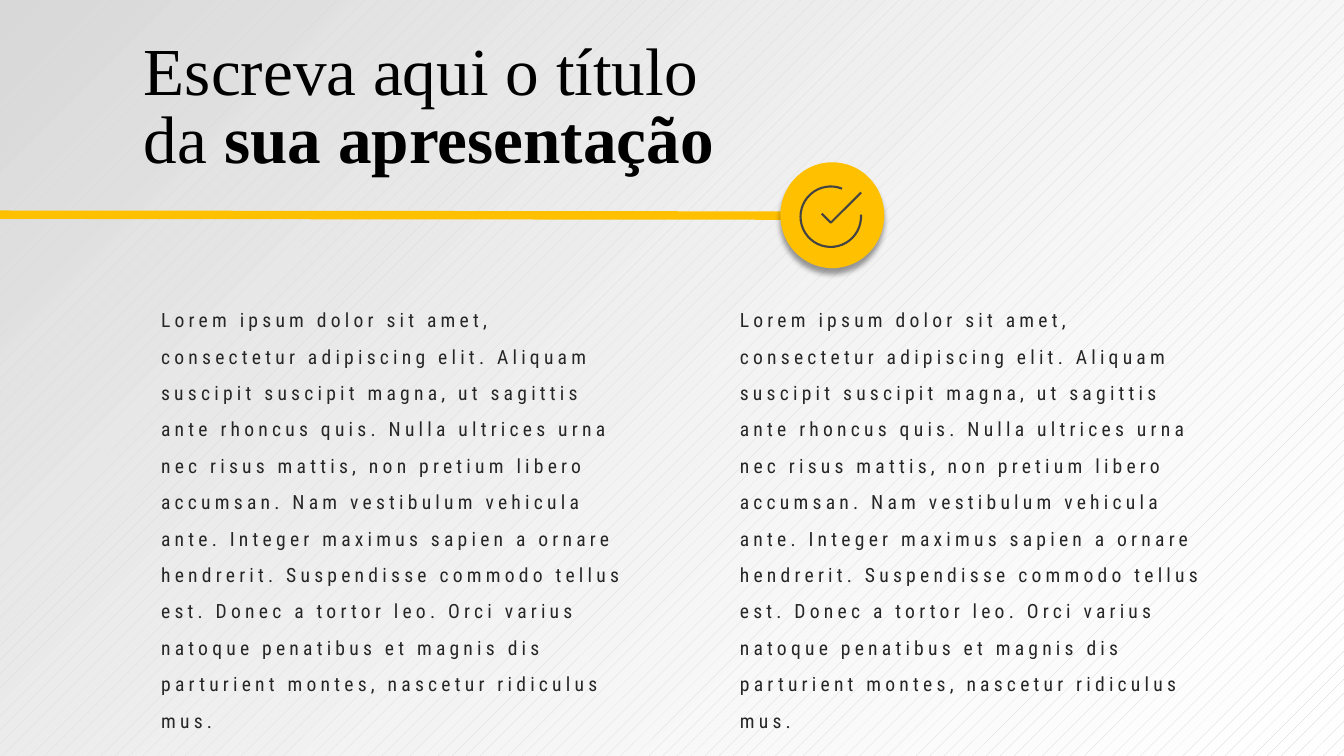
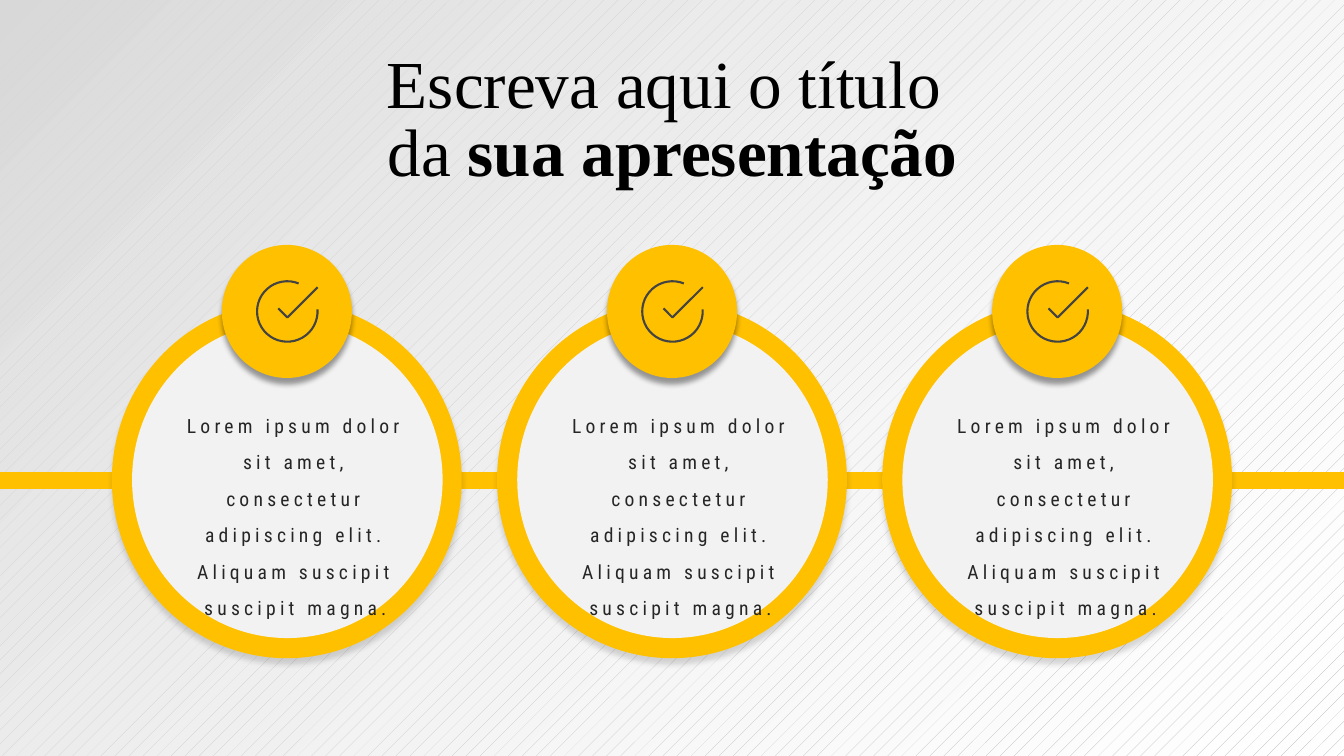
import math

import lxml.etree
import pptx
import pptx.dml.color
import pptx.enum.dml
import pptx.enum.shapes
import pptx.enum.text
import pptx.oxml.ns
import pptx.util

PX = 9144
WIDTH, HEIGHT = 1333, 750
COLORS = {
    "accent": "FFC000",
    "disc": "F2F2F2",
    "shade": "D9D9D9",
    "paper": "FFFFFF",
    "light pattern": "D0CECE",
    "dark pattern": "AFABAB",
    "title": "000000",
    "body": "262626",
    "icon": "434343",
    "shadow": "000000",
}
TITLE_FONT = "Times New Roman"
BODY_FONT = "Roboto Condensed"
LEFT = pptx.enum.text.PP_ALIGN.LEFT
CENTER = pptx.enum.text.PP_ALIGN.CENTER

SHORT_TEXT = (
    "Lorem ipsum dolor sit amet, consectetur adipiscing elit. "
    "Aliquam suscipit suscipit magna"
)
LONG_TEXT = (
    SHORT_TEXT + ", ut sagittis ante rhoncus quis. Nulla ultrices urna nec risus "
    "mattis, non pretium libero accumsan. Nam vestibulum vehicula ante. Integer "
    "maximus sapien a ornare hendrerit. Suspendisse commodo tellus est. Donec a "
    "tortor leo. Orci varius natoque penatibus et magnis dis parturient montes, "
    "nascetur ridiculus mus."
)


def rgb(name):
    return pptx.dml.color.RGBColor.from_string(COLORS[name])


def add_xml(parent, tag, **attributes):
    return lxml.etree.SubElement(parent, pptx.oxml.ns.qn(tag), attributes)


class Deck:
    def __init__(self):
        self.presentation = pptx.Presentation()
        self.presentation.slide_width = WIDTH * PX
        self.presentation.slide_height = HEIGHT * PX
        self.slide = None

    def new_slide(self, pattern_color):
        self.slide = self.presentation.slides.add_slide(
            self.presentation.slide_layouts[6]
        )
        fill = self.slide.background.fill
        fill.patterned()
        fill.pattern = pptx.enum.dml.MSO_PATTERN.PERCENT_5
        fill.fore_color.rgb = rgb(pattern_color)
        fill.back_color.rgb = rgb("paper")
        self.veil()

    def group(self):
        return self.slide.shapes.add_group_shape().shapes

    def shape(self, shapes, kind, left, top, width, height):
        shape = shapes.add_shape(kind, left * PX, top * PX, width * PX, height * PX)
        shape.shadow.inherit = False
        shape.line.fill.background()
        return shape

    def veil(self):
        shape = self.shape(
            self.slide.shapes, pptx.enum.shapes.MSO_SHAPE.RECTANGLE,
            0, 0, WIDTH, HEIGHT,
        )
        shape.fill.gradient()
        shape.fill.gradient_angle = 135
        for stop, color in zip(shape.fill.gradient_stops, ("disc", "shade")):
            stop.color.rgb = rgb(color)
        first_color = shape._element.spPr.find(".//" + pptx.oxml.ns.qn("a:srgbClr"))
        add_xml(first_color, "a:alpha", val="0")

    def circle(self, shapes, left, top, width, height, color, shadow=0):
        shape = self.shape(
            shapes, pptx.enum.shapes.MSO_SHAPE.OVAL, left, top, width, height
        )
        shape.fill.solid()
        shape.fill.fore_color.rgb = rgb(color)
        if shadow:
            effects = shape._element.spPr.find(pptx.oxml.ns.qn("a:effectLst"))
            outer = add_xml(
                effects, "a:outerShdw", blurRad=str(pptx.util.Pt(4)),
                dist=str(pptx.util.Pt(4)), dir="5400000", algn="t", rotWithShape="0",
            )
            color_element = add_xml(outer, "a:srgbClr", val=COLORS["shadow"])
            add_xml(color_element, "a:alpha", val=str(shadow * 1000))

    def badge(self, left, top, width, height):
        self.circle(self.slide.shapes, left, top, width, height, "accent", shadow=39)

    def ring(self, left, top):
        shapes = self.group()
        self.circle(shapes, left, top, 347, 354, "accent", shadow=15)
        self.circle(shapes, left + 20, top + 20, 308, 314, "disc")

    def line(self, start_x, start_y, end_x, end_y, weight):
        connector = self.slide.shapes.add_connector(
            pptx.enum.shapes.MSO_CONNECTOR.STRAIGHT,
            start_x * PX, start_y * PX, end_x * PX, end_y * PX,
        )
        connector.line.color.rgb = rgb("accent")
        connector.line.width = pptx.util.Pt(weight)
        add_xml(connector._element.spPr, "a:effectLst")

    def stroke(self, shapes, points):
        scaled = [(round(x * PX), round(y * PX)) for x, y in points]
        builder = shapes.build_freeform(*scaled[0], scale=1.0)
        builder.add_line_segments(scaled[1:], close=False)
        shape = builder.convert_to_shape()
        shape.shadow.inherit = False
        shape.fill.background()
        shape.line.color.rgb = rgb("icon")
        shape.line.width = pptx.util.Pt(1.5)

    def check_icon(self, left, top):
        shapes = self.group()
        radius = 30
        angles = [math.radians(degree) for degree in range(-4, 293, 8)]
        self.stroke(shapes, [
            (left + radius + radius * math.cos(angle),
             top + radius + radius * math.sin(angle))
            for angle in angles
        ])
        tick = ((60, 6), (30, 36), (21, 27))
        self.stroke(shapes, [(left + x, top + y) for x, y in tick])

    def text_box(self, left, top, width, height, alignment, spacing):
        box = self.slide.shapes.add_textbox(
            left * PX, top * PX, width * PX, height * PX
        )
        box.text_frame.word_wrap = True
        paragraph = box.text_frame.paragraphs[0]
        paragraph.alignment = alignment
        paragraph.line_spacing = pptx.util.Pt(spacing)
        return box.text_frame, paragraph

    def style(self, paragraph, font, size, color):
        paragraph.font.name = font
        paragraph.font.size = pptx.util.Pt(size)
        paragraph.font.color.rgb = rgb(color)

    def title(self, left, top, width, alignment=LEFT):
        frame, paragraph = self.text_box(left, top, width, 133, alignment, 48)
        frame.vertical_anchor = pptx.enum.text.MSO_ANCHOR.MIDDLE
        self.style(paragraph, TITLE_FONT, 48, "title")
        paragraph.add_run().text = "Escreva aqui o título "
        paragraph.add_line_break()
        paragraph.add_run().text = "da "
        strong = paragraph.add_run()
        strong.text = "sua apresentação"
        strong.font.bold = True

    def body(self, left, top, width, height, text, alignment=LEFT):
        paragraph = self.text_box(left, top, width, height, alignment, 26)[1]
        properties = paragraph._p.get_or_add_pPr()
        properties.set("marL", str(17 * PX))
        properties.set("indent", "0")
        self.style(paragraph, BODY_FONT, 14, "body")
        run = paragraph.add_run()
        run.text = text
        run._r.get_or_add_rPr().set("spc", "300")


def build_columns(deck):
    deck.new_slide("light pattern")
    deck.line(0, 213, 877, 214, 6)
    deck.title(133, 42, 703)
    for left in (133, 707):
        deck.body(left, 288, 503, 392, LONG_TEXT)
    deck.badge(774, 161, 103, 105)
    deck.check_icon(794, 185)


def build_circles(deck):
    deck.new_slide("dark pattern")
    deck.title(105, 55, 1124, CENTER)
    deck.line(0, 477, WIDTH, 477, 12)
    for column in (1, 0, 2):
        left = 111 + column * 382
        deck.ring(left, 299)
        deck.badge(left + 109, 243, 129, 132)
        deck.body(left + 33, 393, 281, 202, SHORT_TEXT + ".", CENTER)
        deck.check_icon(left + 144, 279)


def main():
    deck = Deck()
    build_columns(deck)
    build_circles(deck)
    deck.presentation.save("out.pptx")


if __name__ == "__main__":
    main()
